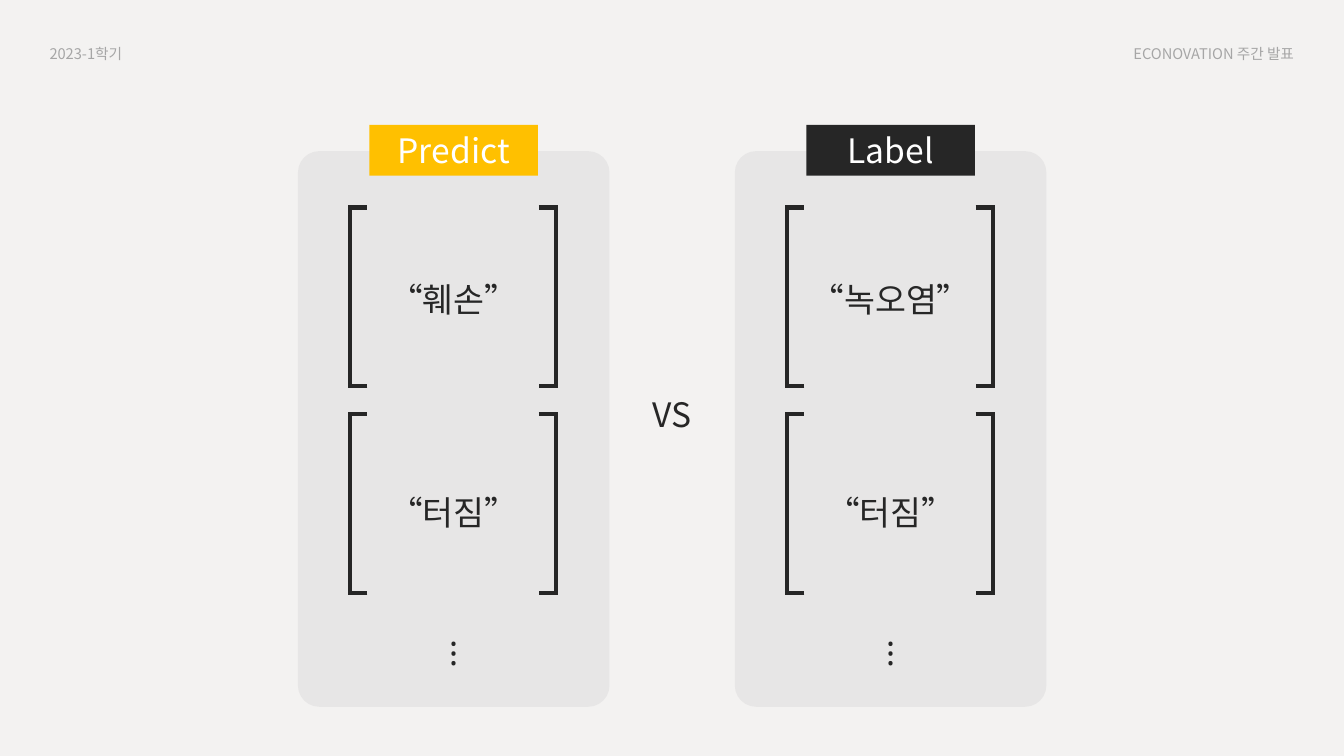
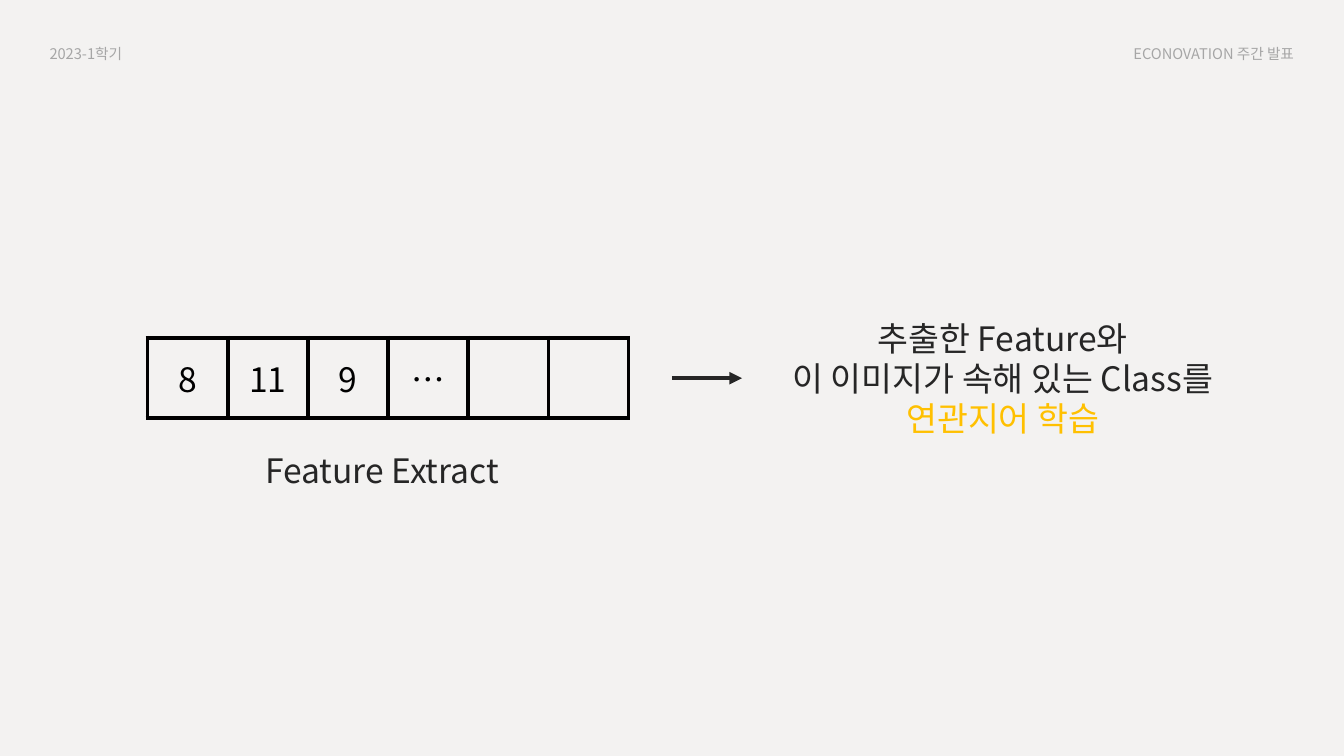
from lxml.etree import SubElement as Sub
from pptx import Presentation
from pptx.dml.color import RGBColor as Rgb
from pptx.enum.shapes import MSO_CONNECTOR as Link, MSO_SHAPE as Form
from pptx.enum.text import MSO_ANCHOR as Anchor, PP_ALIGN as Align
from pptx.oxml import parse_xml
from pptx.oxml.ns import nsdecls, qn
from pptx.util import Cm, Pt

HUES = {
    "back": "F3F2F1", "panel": "E7E6E6", "dark": "262626", "gold": "FFC000",
    "grey": "A6A6A6", "white": "FFFFFF", "black": "000000",
}
FONT = "Noto Sans CJK KR"
LINE = Pt(3)


def tint(name):
    """Return a named colour."""
    return Rgb.from_string(HUES[name])


class Deck:
    """Hold the shared style and the current slide."""

    def __init__(self):
        """Start an empty wide deck."""
        self.show = Presentation()
        self.show.slide_width, self.show.slide_height = Cm(33.87), Cm(19.05)

    def page(self):
        """Add a slide with its backdrop and header."""
        self.slide = self.show.slides.add_slide(self.show.slide_layouts[6])
        fill = self.slide.background.fill
        fill.solid()
        fill.fore_color.rgb = tint("back")
        self.text(["2023-1학기"], 1, 1, 8.3, 0.74, "grey", 10.5, Align.LEFT)
        self.text(["ECONOVATION 주간 발표"], 24.56, 1, 8.3, 0.74,
                  "grey", 10.5, Align.RIGHT)

    def style(self, para, hue, size=24, align=Align.CENTER):
        """Set the alignment and font of a paragraph."""
        para.alignment = align
        font = para.font
        font.name, font.size, font.color.rgb = FONT, Pt(size), tint(hue)
        base = para._p.pPr.find(qn("a:defRPr"))
        Sub(base, qn("a:ea")).set("typeface", FONT)

    def text(self, lines, x, y, wide, high, hue="dark", size=24,
             align=Align.CENTER):
        """Add a text box with one paragraph per line."""
        frame = self.slide.shapes.add_textbox(
            Cm(x), Cm(y), Cm(wide), Cm(high)).text_frame
        frame.word_wrap = True
        frame.text = "\n".join(lines)
        for para in frame.paragraphs:
            self.style(para, hue, size, align)
        return frame

    def shape(self, form, x, y, wide, high, fill=None):
        """Add a filled shape, or an outlined one without a fill."""
        item = self.slide.shapes.add_shape(
            form, Cm(x), Cm(y), Cm(wide), Cm(high))
        item.shadow.inherit = False
        if fill:
            item.fill.solid()
            item.fill.fore_color.rgb = tint(fill)
            item.line.fill.background()
        else:
            item.fill.background()
            item.line.color.rgb, item.line.width = tint("dark"), LINE
            Sub(item.line._get_or_add_ln(), qn("a:miter")).set("lim", "800000")
        return item

    def tag(self, text, x, y, wide, high, fill):
        """Add a filled label."""
        frame = self.shape(Form.RECTANGLE, x, y, wide, high, fill).text_frame
        frame.text = text
        self.style(frame.paragraphs[0], "white")

    def panel(self, x, name, fill, words):
        """Add a labelled panel of bracketed words."""
        wide = 7.85
        back = self.shape(Form.ROUNDED_RECTANGLE, x, 3.81, wide, 14, "panel")
        back.adjustments[0] = 0.068
        self.tag(name, x + 1.8, 3.15, 4.25, 1.28, fill)
        for row, word in enumerate(words):
            top = 5.23 + row * 5.21
            for form, gap in ((Form.LEFT_BRACKET, 1.32),
                              (Form.RIGHT_BRACKET, 6.07)):
                side = self.shape(form, x + gap, top, 0.43, 4.5)
                side.adjustments[0] = 0
            self.text([word], x, 6.91 + row * 5.36, wide, 1.28)
        self.text(["⁝"], x, 15.8, wide, 1.28)

    def arrow(self, x, y, end):
        """Add a level arrow."""
        item = self.slide.shapes.add_connector(
            Link.STRAIGHT, Cm(x), Cm(y), Cm(end), Cm(y))
        item.line.color.rgb, item.line.width = tint("dark"), LINE
        Sub(item.line._get_or_add_ln(), qn("a:tailEnd")).set("type", "triangle")
        Sub(item._element.spPr, qn("a:effectLst"))

    def cells(self, texts, x, y, size):
        """Add a one-row table of square bordered cells."""
        table = self.slide.shapes.add_table(
            1, len(texts), Cm(x), Cm(y), Cm(size * len(texts)), Cm(size)).table
        table.first_row = table.horz_banding = False
        for cell, text in zip(table.iter_cells(), texts):
            cell.fill.background()
            cell.vertical_anchor = Anchor.MIDDLE
            cell.text = text
            self.style(cell.text_frame.paragraphs[0], "black")
            for spot, side in enumerate("LRTB"):
                cell._tc.tcPr.insert(spot, parse_xml(
                    f'<a:ln{side} {nsdecls("a")} w="{LINE}"><a:solidFill>'
                    f'<a:srgbClr val="{HUES["black"]}"/></a:solidFill>'
                    f'</a:ln{side}>'))


def main():
    """Build and save the deck."""
    deck = Deck()
    deck.page()
    deck.panel(7.51, "Predict", "gold", ["“훼손”", "“터짐”"])
    deck.panel(18.52, "Label", "dark", ["“녹오염”", "“터짐”"])
    deck.text(["VS"], 14.81, 9.8, 4.25, 1.28)

    deck.page()
    deck.cells(["8", "11", "9", "…", "", ""], 3.72, 8.51, 2.02)
    deck.text(["Feature Extract"], 3.71, 11.22, 11.84, 1.28)
    deck.arrow(16.93, 9.53, 18.7)
    note = deck.text(["추출한 Feature와", "이 이미지가 속해 있는 Class를",
                      "연관지어 학습"], 19.35, 7.88, 11.84, 3.33)
    note.paragraphs[-1].font.color.rgb = tint("gold")
    deck.show.save("out.pptx")


if __name__ == "__main__":
    main()
